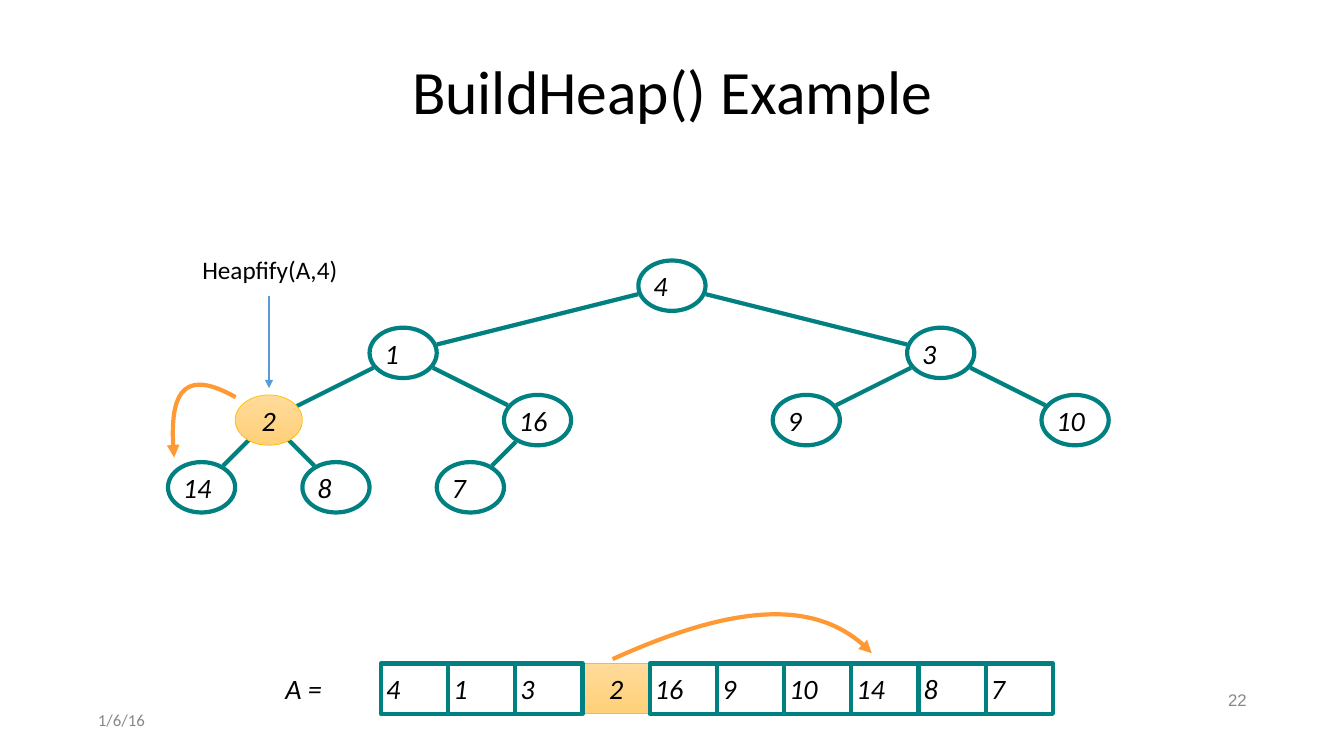
"""Build the BuildHeap() example slide: a heap tree above its array."""
from math import hypot
from lxml import etree
from pptx import Presentation
from pptx.dml.color import RGBColor
from pptx.enum.shapes import MSO_CONNECTOR, MSO_SHAPE
from pptx.enum.text import MSO_ANCHOR, PP_ALIGN
from pptx.oxml.ns import qn
from pptx.util import Cm, Pt

OVAL, RECT = MSO_SHAPE.OVAL, MSO_SHAPE.RECTANGLE
STRAIGHT = MSO_CONNECTOR.STRAIGHT
TOP, MIDDLE = MSO_ANCHOR.TOP, MSO_ANCHOR.MIDDLE
LEFT, CENTER, RIGHT = PP_ALIGN.LEFT, PP_ALIGN.CENTER, PP_ALIGN.RIGHT

BLACK = RGBColor(0x00, 0x00, 0x00)
WHITE = RGBColor(0xFF, 0xFF, 0xFF)
GRAY = RGBColor(0x88, 0x88, 0x88)
TEAL = RGBColor(0x00, 0x80, 0x80)
BLUE = RGBColor(0x5B, 0x9B, 0xD5)
ORANGE = RGBColor(0xFF, 0x99, 0x33)
GOLD = RGBColor(0xFF, 0xC0, 0x00)
GOLD_LIGHT = RGBColor(0xFF, 0xDB, 0x9B)
GOLD_DARK = RGBColor(0xFF, 0xD0, 0x78)

TITLE = "BuildHeap() Example"
HEAP = [4, 1, 3, 2, 16, 9, 10, 14, 8, 7]
CURRENT = 3
LABELS = [
    ("1/6/16", (2.34, 17.78, 7.62, 0.74), 12, "Calibri", GRAY, LEFT, MIDDLE, False),
    ("22", (23.93, 17.27, 7.62, 0.74), 12, "Arial", GRAY, RIGHT, MIDDLE, False),
    ("A =", (7.06, 16.81, 1.4, 1.09), 20, "Calibri", BLACK, LEFT, MIDDLE, True),
    ("Heapfify(A,4)", (4.8, 6.27, 4, 1.04), 18, "Calibri", BLACK, CENTER, TOP, False),
]
SWAP_ARROWS = [
    [(5.94, 10.01), (4.72, 9.32), (4.22, 9.83), (4.39, 11.53)],
    [(15.44, 16.61), (18.57, 15.19), (20.75, 15.14), (21.97, 16.46)],
]
CALL_ARROW = (6.78, 7.47), (6.78, 9.78)

UNIT = 5.08 / 3
NODE_H = 1.27
ROOT_X, ROOT_Y = 10 * UNIT, 7.2
ARRAY_X, ARRAY_Y = 9.6, 16.72
INSET = 0.13
PEN = 0.05


def write(sp, text, size, font, color, align, anchor, italic, inset=INSET):
    tf = sp.text_frame
    tf.word_wrap = True
    tf.vertical_anchor = anchor
    tf.margin_left = tf.margin_right = Cm(INSET)
    tf.margin_top = tf.margin_bottom = Cm(inset)
    tf.text = text
    p = tf.paragraphs[0]
    p.alignment = align
    f = p.runs[0].font
    f.size, f.name, f.italic = Pt(size), font, italic
    f.color.rgb = color


def add_item(slide, kind, x, y, index):
    sp = slide.shapes.add_shape(kind, Cm(x), Cm(y), Cm(UNIT), Cm(NODE_H))
    sp.shadow.inherit = False
    if index == CURRENT:
        sp.fill.gradient()
        sp.fill.gradient_angle = 270
        for stop, color in zip(sp.fill.gradient_stops, (GOLD_LIGHT, GOLD_DARK)):
            stop.color.rgb = color
            stop.position = 0 if color == GOLD_LIGHT else 1
        set_line(sp, GOLD, 0.5)
    else:
        sp.fill.solid()
        sp.fill.fore_color.rgb = WHITE
        set_line(sp, TEAL, 3)
    align = CENTER if index == CURRENT else LEFT
    write(sp, str(HEAP[index]), 20, "Calibri", BLACK, align, MIDDLE, True, 0)
    sp.text_frame.margin_right = Cm(INSET if index == CURRENT else 0)


def set_line(sp, color, width, arrow=False):
    sp.line.color.rgb = color
    sp.line.width = Pt(width)
    if arrow:
        ln = sp.element.spPr.find(qn("a:ln"))
        etree.SubElement(ln, qn("a:tailEnd"), type="triangle")


def add_straight(slide, start, end, color, width, arrow=False):
    points = [Cm(v) for v in (*start, *end)]
    line = slide.shapes.add_connector(STRAIGHT, *points)
    set_line(line, color, width, arrow)
    etree.SubElement(line.element.spPr, qn("a:effectLst"))


def add_curve(slide, points):
    points = [(Cm(x), Cm(y)) for x, y in points]
    builder = slide.shapes.build_freeform(*points[0])
    builder.add_line_segments(points[1:], close=False)
    sp = builder.convert_to_shape()
    path = sp.element.spPr.find(".//" + qn("a:path"))
    bezier = etree.SubElement(path, qn("a:cubicBezTo"))
    for segment in path.findall(qn("a:lnTo")):
        bezier.append(segment[0])
        path.remove(segment)
    sp.fill.background()
    sp.shadow.inherit = False
    set_line(sp, ORANGE, 3, True)


def node_centers():
    centers = [(ROOT_X, ROOT_Y)]
    for i in range(1, len(HEAP)):
        x, y = centers[(i - 1) // 2]
        depth = (i + 1).bit_length() - 1
        spread = UNIT * 8 / 2 ** depth
        centers.append((x - spread if i % 2 else x + spread, y + UNIT))
    return centers


def border_point(center, target):
    dx, dy = target[0] - center[0], target[1] - center[1]
    t = 1 / hypot(dx / (UNIT / 2 + PEN), dy / (NODE_H / 2 + PEN))
    return center[0] + t * dx, center[1] + t * dy


def add_tree(slide):
    centers = node_centers()
    order = [i for i in range(len(HEAP)) if i != CURRENT]

    def add_node(i):
        x, y = centers[i]
        add_item(slide, OVAL, x - UNIT / 2, y - NODE_H / 2, i)

    for i in order:
        add_node(i)
    for i in range(1, len(HEAP)):
        parent = (i - 1) // 2
        ends = [centers[a] if a == CURRENT else border_point(centers[a], centers[b])
                for a, b in ((parent, i), (i, parent))]
        add_straight(slide, *ends, TEAL, 3)
    add_node(CURRENT)


def main():
    prs = Presentation()
    prs.slide_width, prs.slide_height = Cm(33.87), Cm(19.05)
    slide = prs.slides.add_slide(prs.slide_layouts[5])
    title = slide.shapes.title
    title.left, title.top, title.width, title.height = (
        Cm(v) for v in (2.34, 1.02, 29.21, 2.72))
    write(title, TITLE, 44, "Calibri", BLACK, CENTER, MIDDLE, False)
    title.text_frame.paragraphs[0].line_spacing = 0.9

    for i in sorted(range(len(HEAP)), key=lambda i: i != CURRENT):
        add_item(slide, RECT, ARRAY_X + i * UNIT, ARRAY_Y, i)
    add_tree(slide)
    for points in SWAP_ARROWS:
        add_curve(slide, points)
    add_straight(slide, *CALL_ARROW, BLUE, 1, True)
    for text, box, *style in LABELS:
        write(slide.shapes.add_textbox(*(Cm(v) for v in box)), text, *style)
    prs.save("out.pptx")


if __name__ == "__main__":
    main()
